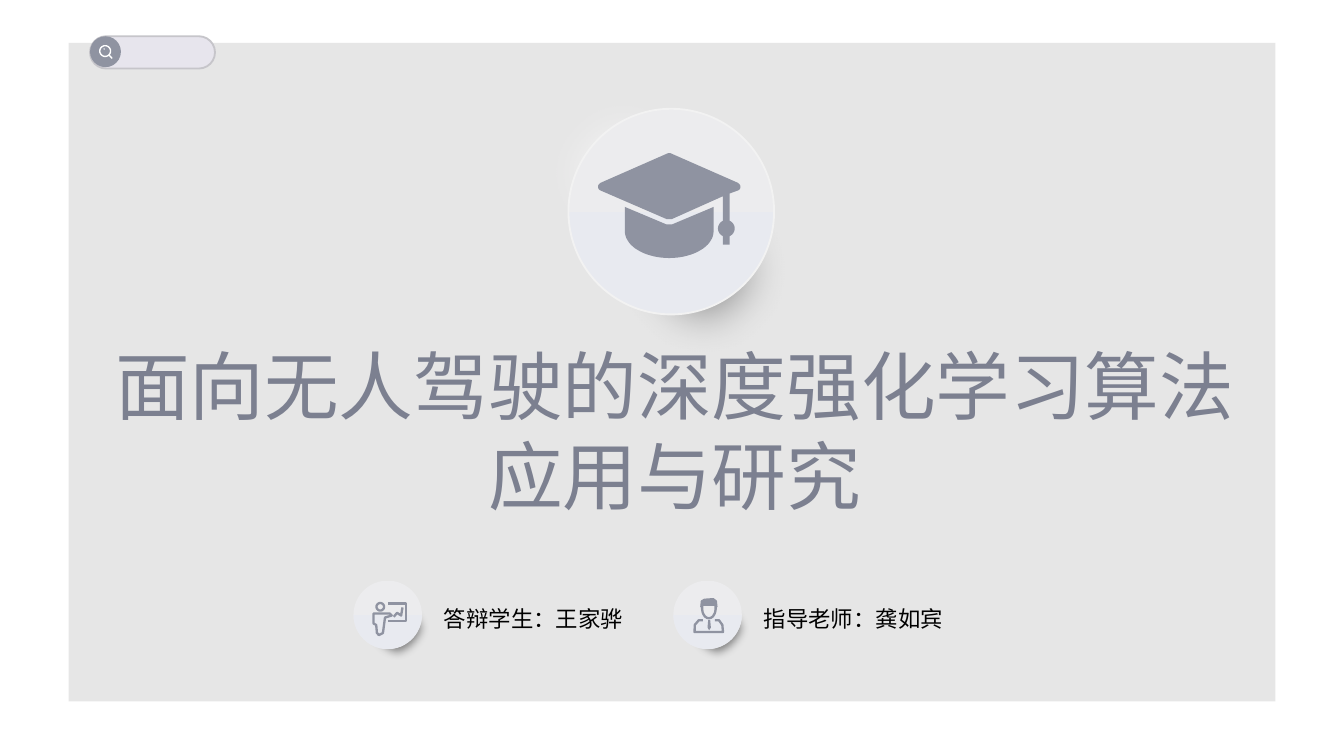
from math import cos, radians, sin

from pptx import Presentation
from pptx.dml.color import RGBColor
from pptx.enum.shapes import MSO_SHAPE
from pptx.enum.text import MSO_ANCHOR, MSO_AUTO_SIZE, PP_ALIGN
from pptx.oxml.ns import qn
from pptx.util import Inches, Pt
from lxml import etree

FONT = "Noto Sans CJK SC"
WHITE = RGBColor(0xFF, 0xFF, 0xFF)
BLACK = RGBColor(0x00, 0x00, 0x00)
PANEL = RGBColor(0xE6, 0xE6, 0xE6)
TITLE = RGBColor(0x7C, 0x80, 0x90)
ICON = RGBColor(0x8F, 0x93, 0xA1)
GLOW = RGBColor(0xFF, 0xFE, 0xFF)
SHADE = RGBColor(0x59, 0x59, 0x59)
DISC_TOP = RGBColor(0xEC, 0xEC, 0xEE)
DISC_BOTTOM = RGBColor(0xE8, 0xEA, 0xF0)
DISC_EDGE = RGBColor(0xF2, 0xF2, 0xF2)
PILL = RGBColor(0xE7, 0xE5, 0xED)
PILL_EDGE = RGBColor(0xC6, 0xC5, 0xCA)
RECTANGLE = MSO_SHAPE.RECTANGLE
OVAL = MSO_SHAPE.OVAL
ROUNDED = MSO_SHAPE.ROUNDED_RECTANGLE
CENTER = PP_ALIGN.CENTER
MIDDLE = MSO_ANCHOR.MIDDLE
NO_AUTOFIT = MSO_AUTO_SIZE.NONE


def arc(center_x, center_y, radius_x, radius_y, start=0, end=360, steps=36):
    """Points along an ellipse, with angles running clockwise from the right."""
    angles = [radians(start + (end - start) * i / steps) for i in range(steps + 1)]
    return [(center_x + radius_x * cos(a), center_y + radius_y * sin(a)) for a in angles]


# Icon outlines, in hundredths of an inch from the corner of their disc.
CAP = [
    [(24, 55), (74, 33), (76, 33), (126, 55), *arc(125, 58, 3, 3, -60, 60, 8),
     (120, 63), *arc(117.5, 89, 6.2, 6.2, -66, 66), (120, 101), (115, 101),
     *arc(117.5, 89, 6.2, 6.2, 114, 246), (115, 65), (77, 82), (73, 82),
     *arc(25, 58, 3, 3, 120, 240, 8), (24, 55)],
    [(42, 73), *arc(75, 91, 33, 20, 180, 0), (108, 73), (77, 86), (73, 86), (42, 73)],
]
PRESENTER = [
    [(26, 17), (39, 17), (39, 30), (26, 30)],
    [(30, 27), (32.5, 24), (35.5, 26), (36.5, 20)],
    arc(20, 19.5, 2.8, 2.8),
    [(15, 24.5), (27, 24.5), (28.5, 26), (23.5, 27.5), (22, 39), (19, 40.5),
     (17.5, 39), (17, 33), (15, 32), (15, 24.5)],
]
TEACHER = [
    [*arc(26.5, 21, 5, 7, 0, 180), (21.5, 18), (31.5, 18), (31.5, 21)],
    [(22, 29.5), (19, 29.5), (16, 33), (15.8, 38.3), (37, 38.3), (36.5, 33),
     (34, 29.5), (31, 29.5)],
]
TEACHER_SOLID = [
    [(20, 20), (20.5, 15), (23, 13.5), (30, 13), (32.5, 15), (33, 20), (31, 17.5),
     (22, 18), (20, 20)],
    [(26, 29.5), (27.5, 29.5), (28, 35), (26.7, 37), (25.5, 35), (26, 29.5)],
]
LENS = [[(16.5, 16.5), *arc(11.3, 11, 4, 4, 45, 405)]]


def paint(shape, fill=None, line=None, width=1):
    shape.shadow.inherit = False
    if fill is None:
        shape.fill.background()
    else:
        shape.fill.solid()
        shape.fill.fore_color.rgb = fill
    if line is None:
        shape.line.fill.background()
    else:
        shape.line.color.rgb = line
        shape.line.width = Pt(width)


def add_shape(slide, kind, left, top, width, height, **colors):
    shape = slide.shapes.add_shape(
        kind, Inches(left), Inches(top), Inches(width), Inches(height))
    paint(shape, **colors)
    return shape


def add_icon(slide, left, top, contours, **colors):
    outlines = [[(round(x * 10), round(y * 10)) for x, y in c] for c in contours]
    builder = slide.shapes.build_freeform(*outlines[0][0], scale=Inches(1) / 1000)
    for number, outline in enumerate(outlines):
        if number:
            builder.move_to(*outline[0])
        builder.add_line_segments(outline[1:], close=False)
    paint(builder.convert_to_shape(Inches(left), Inches(top)), **colors)


def soften(shape, radius, opacity):
    """Blur the rim of a filled shape and let the background show through."""
    properties = shape._element.spPr
    color = properties.find(qn("a:solidFill"))[0]
    etree.SubElement(color, qn("a:alpha"), val=str(opacity * 1000))
    effects = properties.find(qn("a:effectLst"))
    etree.SubElement(effects, qn("a:softEdge"), rad=str(Inches(radius)))


def add_disc(slide, left, top, size, glow_offset, shade_offset, blur, edge=None):
    """Raised disc with a light glow above and a soft shade below."""
    for color, (x, y), opacity in ((GLOW, glow_offset, 70), (SHADE, shade_offset, 75)):
        soften(add_shape(slide, OVAL, left + x, top + y, size, size, fill=color),
               blur, opacity)
    disc = add_shape(slide, OVAL, left, top, size, size, line=edge)
    disc.fill.gradient()
    disc.fill.gradient_angle = 270
    for stop, color in zip(disc.fill.gradient_stops, (DISC_TOP, DISC_BOTTOM)):
        stop.color.rgb = color


def format_text(text_frame, size, color):
    text_frame.vertical_anchor = MIDDLE
    for paragraph in text_frame.paragraphs:
        paragraph.alignment = CENTER
        for run in paragraph.runs:
            run.font.name = FONT
            run.font.size = Pt(size)
            run.font.color.rgb = color
            etree.SubElement(run._r.get_or_add_rPr(), qn("a:ea"), typeface=FONT)


def add_panel(slide, left, top, width, height):
    panel = add_shape(slide, RECTANGLE, left, top, width, height, fill=PANEL)
    slide.shapes._spTree.insert(2, panel._element)


def place_title(slide, left, top, width, height, text):
    title = slide.shapes.title
    title.left, title.top = Inches(left), Inches(top)
    title.width, title.height = Inches(width), Inches(height)
    text_frame = title.text_frame
    text_frame.text = text
    text_frame.word_wrap = False
    text_frame.auto_size = NO_AUTOFIT
    format_text(text_frame, 40, TITLE)
    for paragraph in text_frame.paragraphs:
        paragraph.line_spacing = Pt(48)


def add_person(slide, left, top, text, outline, solid=None):
    add_disc(slide, left, top, 0.51, (-0.03, -0.03), (0.07, 0.1), 0.07)
    add_icon(slide, left, top, outline, line=ICON, width=1.25)
    if solid:
        add_icon(slide, left, top, solid, fill=ICON)
    label = slide.shapes.add_textbox(
        Inches(left + 0.44), Inches(top + 0.13), Inches(1.8), Inches(0.3))
    label.text_frame.text = text
    label.text_frame.word_wrap = True
    format_text(label.text_frame, 12, BLACK)


def add_emblem(slide, left, top):
    add_disc(slide, left, top, 1.53, (-0.36, -0.29), (0.24, 0.44), 0.35, DISC_EDGE)
    add_icon(slide, left, top, CAP, fill=ICON)


def add_search_pill(slide, left, top, width, height):
    pill = add_shape(slide, ROUNDED, left, top, width, height, fill=PILL, line=PILL_EDGE)
    pill.adjustments[0] = 0.5
    add_shape(slide, OVAL, left, top, 0.23, 0.23, fill=ICON)
    add_shape(slide, OVAL, left + 0.1, top + 0.09, 0.01, 0.01, fill=WHITE)
    add_icon(slide, left, top, LENS, line=WHITE, width=0.75)


def main():
    presentation = Presentation()
    presentation.slide_width = Inches(10)
    presentation.slide_height = presentation.slide_width * 9 // 16
    slide = presentation.slides.add_slide(presentation.slide_layouts[5])
    add_panel(slide, 0.51, 0.32, 8.98, 4.9)
    place_title(slide, 0.71, 2.47, 8.62, 1.45,
                "面向无人驾驶的深度强化学习算法\n应用与研究")
    add_person(slide, 2.63, 4.32, "答辩学生：王家骅", PRESENTER)
    add_person(slide, 5.01, 4.32, "指导老师：龚如宾", TEACHER, TEACHER_SOLID)
    add_emblem(slide, 4.23, 0.81)
    add_search_pill(slide, 0.67, 0.27, 0.93, 0.24)
    presentation.save("out.pptx")


if __name__ == "__main__":
    main()
